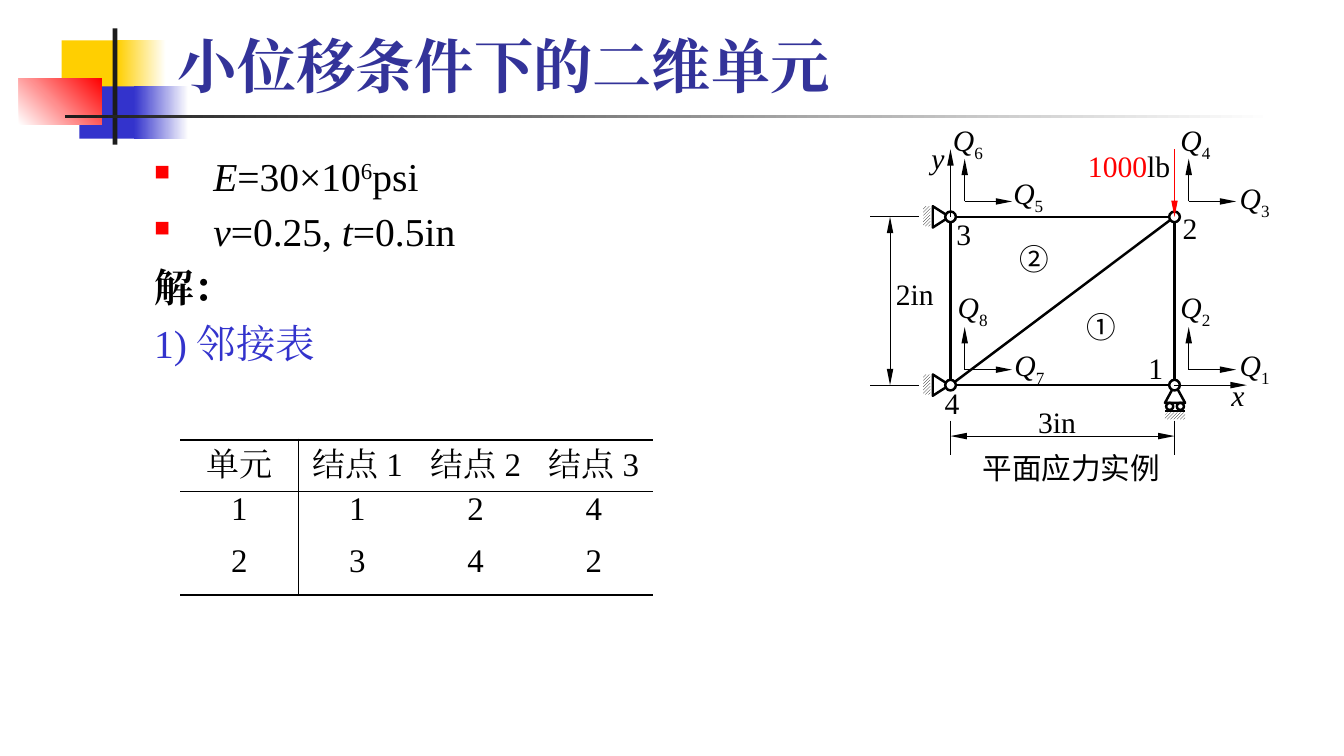
import math

import pptx
import pptx.dml.color
import pptx.enum.dml
import pptx.enum.shapes
import pptx.enum.text
import pptx.oxml.ns
import pptx.util
from lxml import etree

PX = 9144  # EMU per px, 100 px to the inch
SERIF, SANS = "Times New Roman", "Noto Sans CJK SC"
BLACK, WHITE, RED, BLUE = "000000", "FFFFFF", "FF0000", "3333CC"
YELLOW, CHARCOAL, NAVY = "FFCF01", "1C1C1C", "333399"
RECT = pptx.enum.shapes.MSO_SHAPE.RECTANGLE
OVAL = pptx.enum.shapes.MSO_SHAPE.OVAL
MIDDLE = pptx.enum.text.MSO_ANCHOR.MIDDLE
TOP = pptx.enum.text.MSO_ANCHOR.TOP
CENTER = pptx.enum.text.PP_ALIGN.CENTER
LEFT = pptx.enum.text.PP_ALIGN.LEFT

NODES = {1: (991, 325), 2: (991, 183), 3: (802, 183), 4: (802, 325)}
JOINT = 9  # joint diameter


def px(*lengths):
    return [pptx.util.Emu(round(length * PX)) for length in lengths]


def rgb(value):
    return pptx.dml.color.RGBColor.from_string(value)


def add_xml(parent, tag, **attributes):
    return etree.SubElement(parent, pptx.oxml.ns.qn(tag), attributes)


def add_run(paragraph, text, size=18, color=BLACK, font=SERIF, bold=False, italic=False, baseline=0):
    run = paragraph.add_run()
    run.text = text
    run.font.size = pptx.util.Pt(size)
    run.font.bold, run.font.italic = bold, italic
    run.font.color.rgb = rgb(color)
    run.font.name = font
    properties = run._r.get_or_add_rPr()
    add_xml(properties, "a:ea", typeface=font)
    if baseline:
        properties.set("baseline", str(baseline * 1000))


def set_insets(frame, side, end):
    frame.margin_left, frame.margin_right, frame.margin_top, frame.margin_bottom = px(side, side, end, end)


def add_text(slide, box, runs, align=LEFT):
    """Place one line of text; runs are (text, style) pairs."""
    frame = slide.shapes.add_textbox(*px(*box)).text_frame
    frame.word_wrap = True
    set_insets(frame, 0, 0)
    frame.paragraphs[0].alignment = align
    for text, style in runs:
        add_run(frame.paragraphs[0], text, **style)


def add_line(slide, start, end, width=0.5, color=BLACK, arrows=()):
    line = slide.shapes.add_connector(pptx.enum.shapes.MSO_CONNECTOR.STRAIGHT, *px(*start, *end))
    line.line.color.rgb = rgb(color)
    line.line.width = pptx.util.Pt(width)
    properties = line._element.spPr
    for arrow in arrows:
        add_xml(properties.find(pptx.oxml.ns.qn("a:ln")), arrow, type="triangle", w="sm", len="lg")
    add_xml(properties, "a:effectLst")


def add_block(slide, box, start, end=None, angle=0):
    """Rectangle in one colour, or fading from start to end."""
    block = slide.shapes.add_shape(RECT, *px(*box))
    block.shadow.inherit = False
    block.line.fill.background()
    if end is None:
        block.fill.solid()
        block.fill.fore_color.rgb = rgb(start)
        return
    block.fill.gradient()
    block.fill.gradient_angle = angle
    for stop, color in zip(block.fill.gradient_stops, (start, end)):
        stop.color.rgb = rgb(color)


def add_hatch(slide, box):
    hatch = slide.shapes.add_shape(RECT, *px(*box))
    hatch.shadow.inherit = False
    hatch.line.fill.background()
    hatch.fill.patterned()
    hatch.fill.pattern = pptx.enum.dml.MSO_PATTERN.LIGHT_UPWARD_DIAGONAL
    hatch.fill.fore_color.rgb = rgb(BLACK)
    hatch.fill.back_color.rgb = rgb(WHITE)


def outline(shape):
    shape.shadow.inherit = False
    shape.fill.background()
    shape.line.color.rgb = rgb(BLACK)
    shape.line.width = pptx.util.Pt(1.5)


def add_circle(slide, x, y, diameter):
    outline(slide.shapes.add_shape(OVAL, *px(x - diameter / 2, y - diameter / 2, diameter, diameter)))


def add_bracket(slide, points):
    builder = slide.shapes.build_freeform(*points[0], scale=PX)
    builder.add_line_segments(points[1:], close=False)
    outline(builder.convert_to_shape())


def add_member(slide, first, second):
    (x1, y1), (x2, y2) = NODES[first], NODES[second]
    share = JOINT / 2 / math.hypot(x2 - x1, y2 - y1)
    dx, dy = (x2 - x1) * share, (y2 - y1) * share
    add_line(slide, (x1 + dx, y1 + dy), (x2 - dx, y2 - dy), 1.5)


def add_header(slide):
    add_block(slide, (52, 34, 54, 44), YELLOW)
    add_block(slide, (99, 34, 41, 44), YELLOW, WHITE)
    add_block(slide, (67, 73, 52, 44), BLUE)
    add_block(slide, (113, 73, 46, 44), BLUE, WHITE)
    add_block(slide, (16, 66, 70, 39), WHITE, RED, 45)
    add_block(slide, (95, 24, 4, 98), CHARCOAL)
    add_block(slide, (55, 97, 1020, 3), CHARCOAL, WHITE)
    title = slide.shapes.title
    title.left, title.top, title.width, title.height = px(141, 20, 967, 69)
    frame = title.text_frame
    frame.auto_size = pptx.enum.text.MSO_AUTO_SIZE.NONE
    frame.vertical_anchor = pptx.enum.text.MSO_ANCHOR.BOTTOM
    set_insets(frame, 9, 4)
    frame.paragraphs[0].alignment = LEFT
    add_run(frame.paragraphs[0], "小位移条件下的二维单元", 36, NAVY, bold=True)
    title._element.getparent().append(title._element)  # in front of the blocks


def add_givens(slide):
    italic = {"italic": True}
    lines = [
        (True, [("E", italic), ("=30×10", {}), ("6", {"baseline": 30}), ("psi", {})]),
        (True, [("v", italic), ("=0.25, ", {}), ("t", italic), ("=0.5in", {})]),
        (False, [("解：", {"bold": True})]),
        (False, [("1) 邻接表", {"color": BLUE})]),
    ]
    frame = slide.shapes.add_textbox(*px(78, 124, 600, 200)).text_frame
    frame.word_wrap = True
    set_insets(frame, 9, 4)
    for index, (bulleted, runs) in enumerate(lines):
        paragraph = frame.add_paragraph() if index else frame.paragraphs[0]
        properties = paragraph._p.get_or_add_pPr()
        properties.set("marL", str(93 * PX))
        properties.set("indent", str(-50 * PX))
        if bulleted:
            add_xml(add_xml(properties, "a:buClr"), "a:srgbClr", val=RED)
            add_xml(properties, "a:buSzPct", val="55000")
            add_xml(properties, "a:buChar", char="■")
        paragraph.space_before = pptx.util.Pt(5 if index else 0)
        for text, style in runs:
            add_run(paragraph, text, size=24, **style)


def set_borders(cell, widths):
    """Widths in points for left, right, top and bottom; 0 hides a side."""
    for side, width in zip("LRTB", widths):
        edge = add_xml(cell._tc.get_or_add_tcPr(), f"a:ln{side}", w=str(int(width * 12700)))
        if width:
            add_xml(add_xml(edge, "a:solidFill"), "a:srgbClr", val=BLACK)
        else:
            add_xml(edge, "a:noFill")


def add_connectivity(slide):
    rows = [("单元", "结点 1", "结点 2", "结点 3"), ("1", "1", "2", "4"), ("2", "3", "4", "2")]
    table = slide.shapes.add_table(3, 4, *px(152, 371, 399, 131)).table
    table.first_row = table.horz_banding = False
    rules = (1.5, 1, 0, 1.5)  # above each row and below the last
    for r, row in enumerate(rows):
        for c, text in enumerate(row):
            cell = table.cell(r, c)
            set_borders(cell, (c == 1, c == 0, rules[r], rules[r + 1]))
            cell.fill.background()
            set_insets(cell, 7, 0)
            cell.vertical_anchor = TOP if r else MIDDLE
            cell.text_frame.paragraphs[0].alignment = CENTER
            add_run(cell.text_frame.paragraphs[0], text, 20)


def add_truss(slide):
    (right, bottom), (left, top) = NODES[1], NODES[3]
    for x, y in NODES.values():
        add_circle(slide, x, y, JOINT)
        corner = (x + 12, y - 13)
        for tip in ((x + 52, y - 13), (x + 12, y - 49)):
            add_line(slide, corner, tip, arrows=["a:tailEnd"])
    for first, second in ((1, 2), (2, 3), (3, 4), (4, 1), (2, 4)):
        add_member(slide, first, second)
    for y in (top, bottom):
        add_bracket(slide, [(left - 4, y - 2), (left - 15, y - 9), (left - 15, y + 9), (left - 4, y + 2)])
        add_hatch(slide, (left - 23, y - 9, 6, 17))
        add_line(slide, (775, y), (734, y))
    add_bracket(slide, [(right - 2, 329), (right - 8, 340), (right + 9, 340), (right + 3, 329)])
    for x in (right - 4, right + 5):
        add_circle(slide, x, 343, 6)
    add_line(slide, (right - 8, 347), (right + 9, 347), 1.5)
    add_hatch(slide, (right - 8, 348, 17, 6))
    for x in (left, right):
        add_line(slide, (x, 355), (x, 384))
    both = ["a:headEnd", "a:tailEnd"]
    add_line(slide, (left, 368), (right, 368), arrows=both)
    add_line(slide, (751, top), (751, bottom), arrows=both)
    add_line(slide, (left, top), (left, 126), arrows=["a:tailEnd"])
    add_line(slide, (right, bottom), (1052, bottom), arrows=["a:tailEnd"])
    add_line(slide, (right, 126), (right, top), color=RED, arrows=["a:tailEnd"])


def add_labels(slide):
    italic, sans = {"italic": True}, {"font": SANS}
    displacements = [(1046, 293), (996, 244), (1046, 152), (996, 103),
                     (855, 148), (804, 103), (856, 293), (808, 244)]
    for number, (x, y) in enumerate(displacements, 1):
        add_text(slide, (x, y, 28, 29), [("Q", italic), (str(number), {"baseline": -25})])
    for text, x, y, width, style in [
        ("1", 969, 295, 17, {}), ("2", 998, 177, 17, {}), ("3", 807, 182, 17, {}), ("4", 797, 325, 17, {}),
        ("①", 917, 261, 26, sans), ("②", 860, 203, 26, sans),
        ("2in", 756, 233, 40, {}), ("3in", 876, 341, 40, {}),
        ("y", 786, 118, 20, italic), ("x", 1039, 318, 28, italic),
    ]:
        add_text(slide, (x, y, width, 29), [(text, style)])
    add_text(slide, (918, 125, 81, 29), [("1000", {"color": RED}), ("lb", {})])
    add_text(slide, (786, 380, 236, 35), [("平面应力实例", sans)], CENTER)


def main():
    deck = pptx.Presentation()
    deck.slide_width, deck.slide_height = px(1134, 638)
    slide = deck.slides.add_slide(deck.slide_layouts[5])
    add_header(slide)
    add_givens(slide)
    add_connectivity(slide)
    add_truss(slide)
    add_labels(slide)
    deck.save("out.pptx")


if __name__ == "__main__":
    main()
